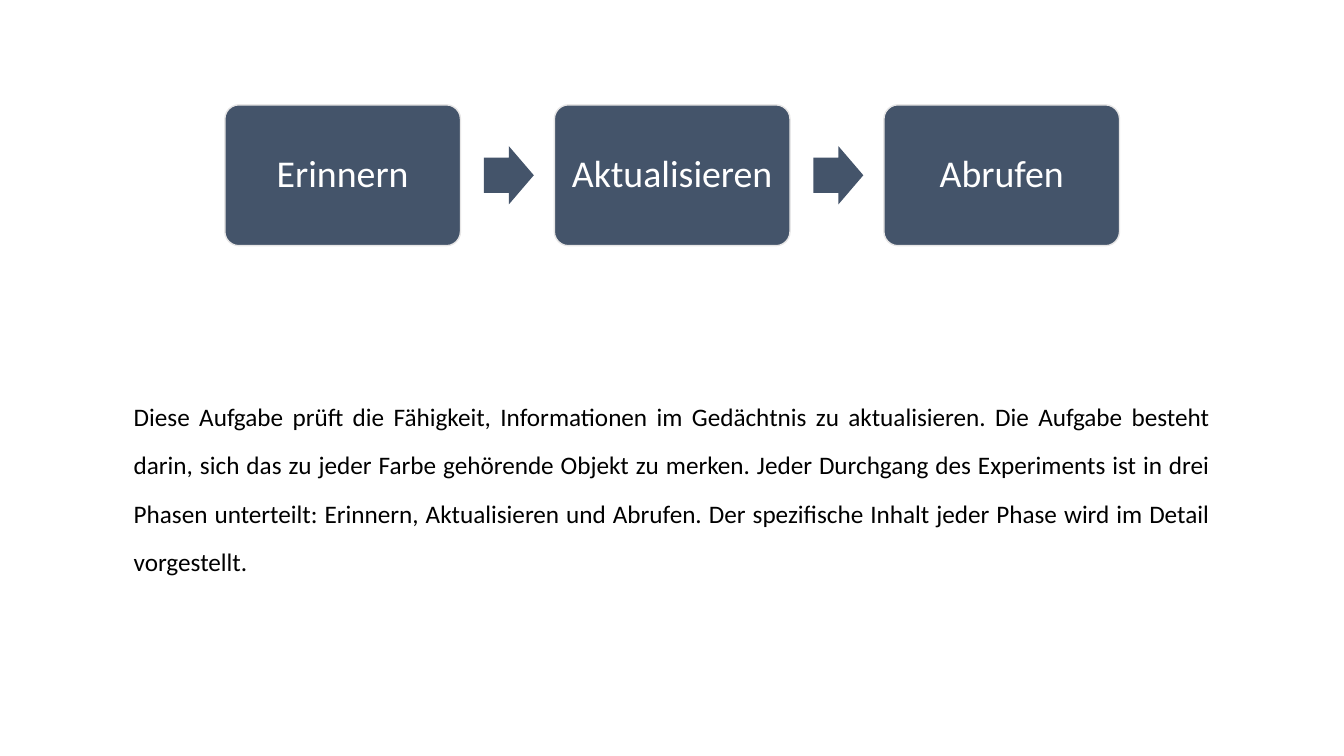
import pptx
import pptx.util
import pptx.dml.color
import pptx.enum.shapes
import pptx.enum.text

Pt = pptx.util.Pt
SHAPES = pptx.enum.shapes.MSO_SHAPE
ALIGN = pptx.enum.text.PP_ALIGN
COLORS = {"phase": "44546A", "border": "E7E6E6", "light": "FFFFFF", "text": "000000"}

PHASES = ["Erinnern", "Aktualisieren", "Abrufen"]
DESCRIPTION = (
    "Diese Aufgabe prüft die Fähigkeit, Informationen im Gedächtnis zu aktualisieren. "
    "Die Aufgabe besteht darin, sich das zu jeder Farbe gehörende Objekt zu merken. "
    "Jeder Durchgang des Experiments ist in drei Phasen unterteilt: Erinnern, "
    "Aktualisieren und Abrufen. Der spezifische Inhalt jeder Phase wird im Detail vorgestellt."
)

BOX_LEFT, BOX_TOP, BOX_WIDTH, BOX_HEIGHT = 160.6, 74.9, 168.3, 100.6
PITCH = 235.4
ARROW_OFFSET, ARROW_WIDTH, ARROW_HEIGHT = 185, 35.7, 41.7


def add_phase_shape(kind, left, width, height):
    """Add a filled shape centred vertically on the row of phases."""
    top = BOX_TOP + (BOX_HEIGHT - height) / 2
    shape = slide.shapes.add_shape(kind, Pt(left), Pt(top), Pt(width), Pt(height))
    shape.shadow.inherit = False
    shape.fill.solid()
    shape.fill.fore_color.rgb = pptx.dml.color.RGBColor.from_string(COLORS["phase"])
    shape.line.fill.background()
    return shape


def write_text(frame, text, size, color, alignment, line_spacing):
    frame.word_wrap = True
    paragraph = frame.paragraphs[0]
    paragraph.alignment = alignment
    paragraph.line_spacing = line_spacing
    run = paragraph.add_run()
    run.text = text
    run.font.name = "Calibri"
    run.font.size = Pt(size)
    run.font.color.rgb = pptx.dml.color.RGBColor.from_string(COLORS[color])


presentation = pptx.Presentation()
presentation.slide_width = Pt(960)
presentation.slide_height = Pt(540)
slide = presentation.slides.add_slide(presentation.slide_layouts[6])

description = slide.shapes.add_textbox(Pt(88.4), Pt(270), Pt(783.2), Pt(143.3))
write_text(description.text_frame, DESCRIPTION, 18, "text", ALIGN.JUSTIFY, 1.6)

for index, phase in enumerate(PHASES):
    left = BOX_LEFT + index * PITCH
    box = add_phase_shape(SHAPES.ROUNDED_RECTANGLE, left, BOX_WIDTH, BOX_HEIGHT)
    box.adjustments[0] = 0.1
    box.line.color.rgb = pptx.dml.color.RGBColor.from_string(COLORS["border"])
    box.line.width = Pt(1)
    frame = box.text_frame
    frame.vertical_anchor = pptx.enum.text.MSO_ANCHOR.MIDDLE
    write_text(frame, phase, 27, "light", ALIGN.CENTER, 0.9)

    if index < len(PHASES) - 1:
        arrow = add_phase_shape(SHAPES.RIGHT_ARROW, left + ARROW_OFFSET, ARROW_WIDTH, ARROW_HEIGHT)
        arrow.adjustments[0] = 0.6
        arrow.adjustments[1] = 0.5

presentation.save("out.pptx")
